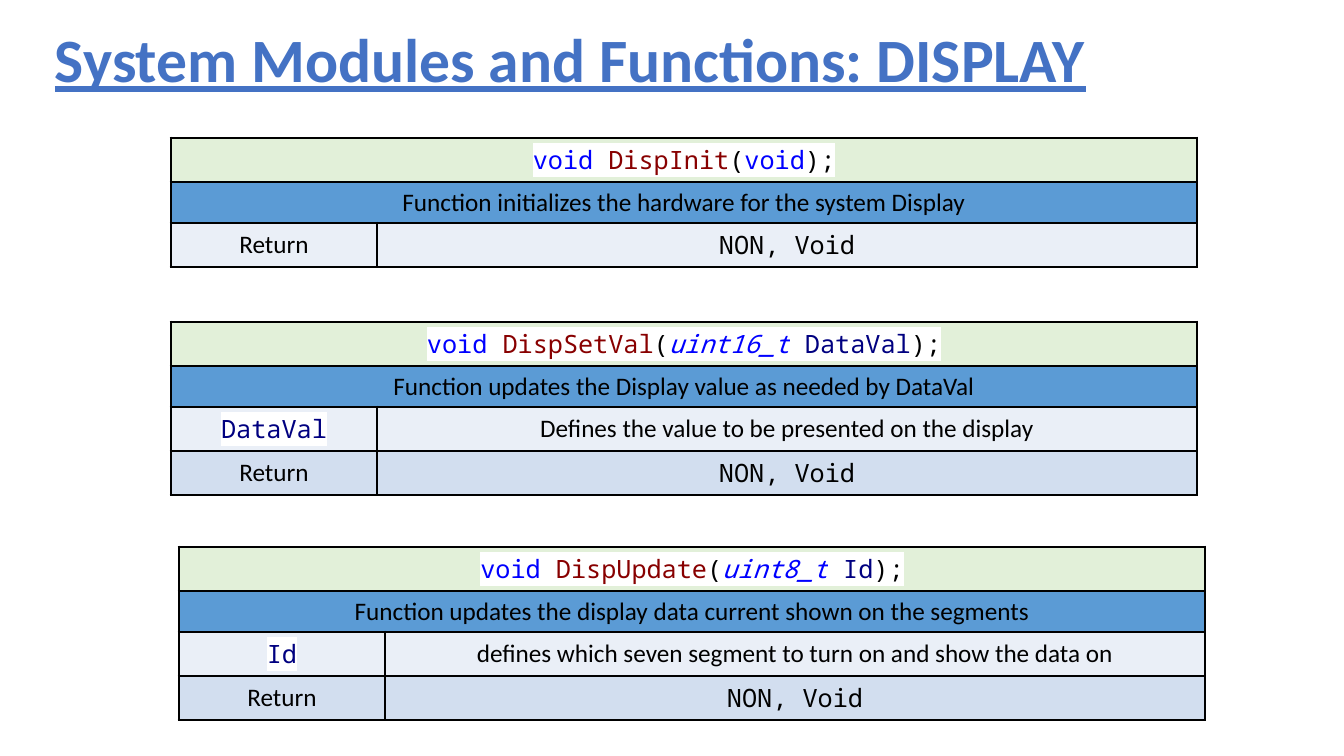
from dataclasses import dataclass

from lxml.etree import SubElement
from pptx import Presentation
from pptx.dml.color import RGBColor
from pptx.enum.text import MSO_ANCHOR as Anchor, PP_ALIGN as Align
from pptx.oxml import parse_xml
from pptx.oxml.ns import nsdecls, qn
from pptx.slide import Slide
from pptx.table import _Cell as Cell
from pptx.text.text import _Paragraph as Paragraph
from pptx.util import Emu, Pt

SANS, MONO = "Calibri", "Noto Sans Mono"
BLACK, WHITE, BLUE = "000000", "FFFFFF", "0000FF"
NAVY, MAROON, RED = "000080", "880000", "A31515"
SIGNATURE_FILL, SUMMARY_FILL = "E2F0D9", "5B9BD5"
BAND_FILLS = ("EAEFF7", "D2DEEF")
COLUMNS = (206, 820)
CODE_ROW, SUMMARY_ROW = 44, 41
BORDER = Pt(2.25)


@dataclass(frozen=True)
class Run:
    text: str
    color: str = BLACK
    font: str = SANS
    italic: bool = False
    highlight: bool = False


@dataclass(frozen=True)
class Parameter:
    kind: str
    name: str
    meaning: str


@dataclass(frozen=True)
class Function:
    left: int
    top: int
    name: str
    summary: str
    parameter: Parameter | None = None


FUNCTIONS = (
    Function(171, 138, "DispInit", "Function initializes the hardware for the system Display"),
    Function(171, 322, "DispSetVal", "Function updates the Display value as needed by DataVal",
             Parameter("uint16_t", "DataVal", "Defines the value to be presented on the display")),
    Function(179, 547, "DispUpdate", "Function updates the display data current shown on the segments",
             Parameter("uint8_t", "Id", "defines which seven segment to turn on and show the data on")),
)


def px(length: int) -> Emu:
    return Emu(round(length * 914400 / 100.8))


def rgb(color: str) -> RGBColor:
    return RGBColor.from_string(color)


def code(text: str, color: str = BLACK, italic: bool = False) -> Run:
    return Run(text, color, MONO, italic, True)


def signature(function: Function) -> list[Run]:
    arguments = [code("void", BLUE)]
    if function.parameter:
        arguments = [code(function.parameter.kind, BLUE, True), code(" ", RED),
                     code(function.parameter.name, NAVY)]
    return [code("void", BLUE), code(" ", RED), code(function.name, MAROON),
            code("("), *arguments, code(");")]


def add_run(p: Paragraph, run: Run) -> None:
    r = p.add_run()
    r.text = run.text
    r.font.size = Pt(18)
    r.font.bold = False
    r.font.italic = run.italic
    r.font.color.rgb = rgb(run.color)
    r.font.name = run.font
    if run.highlight:
        highlight = parse_xml(f'<a:highlight {nsdecls("a")}><a:srgbClr val="{WHITE}"/></a:highlight>')
        r.font._element.find(qn("a:solidFill")).addnext(highlight)


def style_cell(cell: Cell, fill: str) -> None:
    tcPr = cell._tc.get_or_add_tcPr()
    for side in ("lnL", "lnR", "lnT", "lnB"):
        ln = SubElement(tcPr, qn(f"a:{side}"), w=str(BORDER))
        solid = SubElement(ln, qn("a:solidFill"))
        SubElement(solid, qn("a:srgbClr"), val=BLACK)
    cell.fill.solid()
    cell.fill.fore_color.rgb = rgb(fill)
    cell.vertical_anchor = Anchor.MIDDLE


def fill_cell(cell: Cell, runs: list[Run]) -> None:
    p = cell.text_frame.paragraphs[0]
    p.alignment = Align.CENTER
    for run in runs:
        add_run(p, run)


def add_title(s: Slide, text: str) -> None:
    tf = s.shapes.add_textbox(px(45), px(17), px(1279), px(92)).text_frame
    tf.word_wrap = True
    tf.vertical_anchor = Anchor.MIDDLE
    tf.text = text
    p = tf.paragraphs[0]
    p.line_spacing = 0.9
    font = p.runs[0].font
    font.name = SANS
    font.size = Pt(44)
    font.bold = font.underline = True
    font.color.rgb = rgb("4472C4")


def add_function(s: Slide, function: Function) -> None:
    rows = [[signature(function)], [[Run(function.summary)]]]
    if function.parameter:
        rows.append([[code(function.parameter.name, NAVY)], [Run(function.parameter.meaning)]])
    rows.append([[Run("Return")], [Run("NON, Void", font=MONO)]])
    fills = (SIGNATURE_FILL, SUMMARY_FILL, *BAND_FILLS)
    heights = [CODE_ROW, SUMMARY_ROW] + [CODE_ROW] * (len(rows) - 2)

    table = s.shapes.add_table(len(rows), len(COLUMNS), px(function.left), px(function.top),
                               px(sum(COLUMNS)), px(sum(heights))).table
    table.first_row = table.horz_banding = False
    for column, width in zip(table.columns, COLUMNS):
        column.width = px(width)
    for i, (row, fill, height) in enumerate(zip(rows, fills, heights)):
        table.rows[i].height = px(height)
        for cell in table.rows[i].cells:
            style_cell(cell, fill)
        if len(row) == 1:
            table.cell(i, 0).merge(table.cell(i, 1))
        for j, runs in enumerate(row):
            fill_cell(table.cell(i, j), runs)


def main() -> None:
    prs = Presentation()
    prs.slide_width, prs.slide_height = px(1344), px(756)
    s = prs.slides.add_slide(prs.slide_layouts[6])
    add_title(s, "System Modules and Functions: DISPLAY")
    for function in FUNCTIONS:
        add_function(s, function)
    prs.save("out.pptx")


if __name__ == "__main__":
    main()
